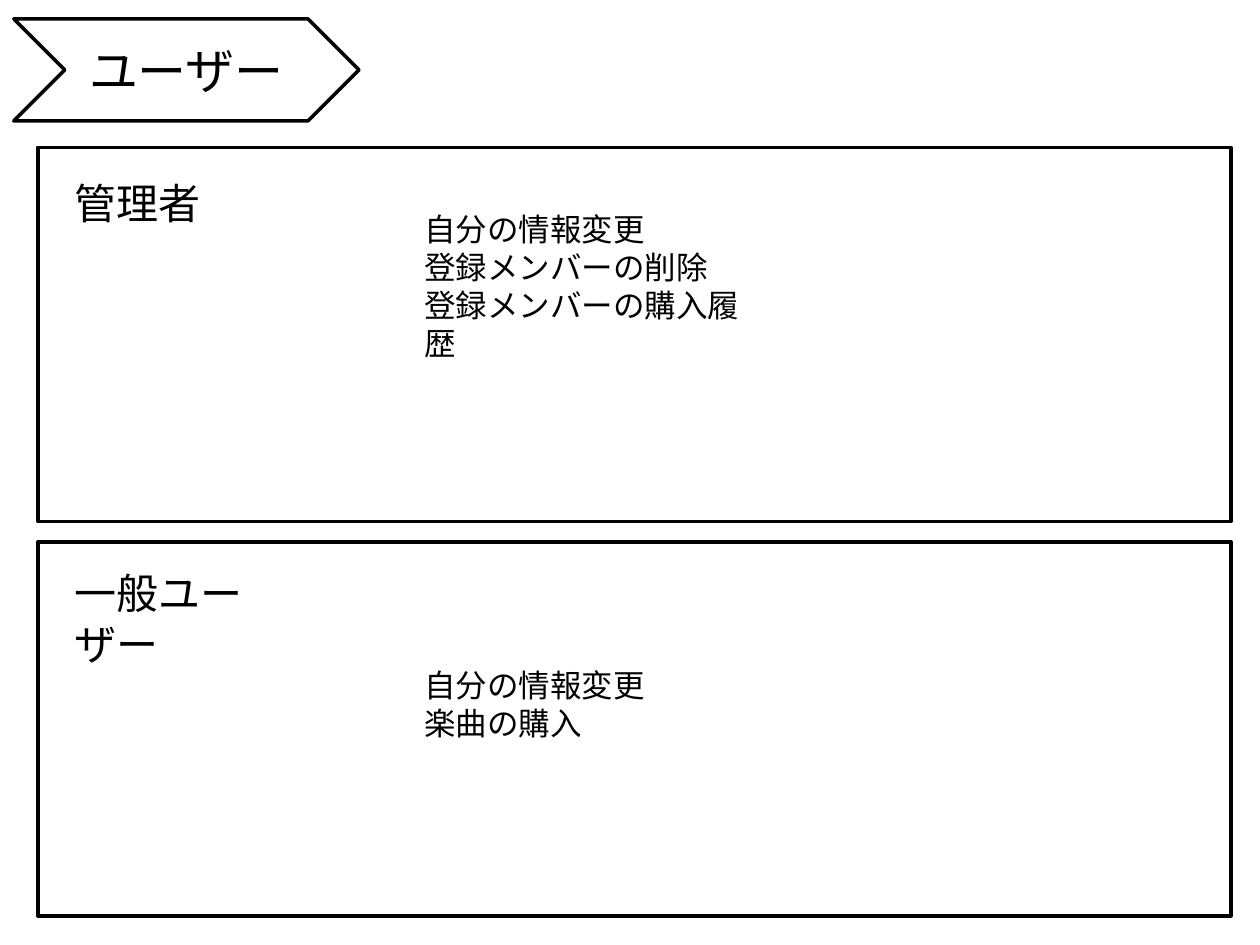
"""Build a slide listing what each kind of user can do."""
from pptx import Presentation
from pptx.dml.color import RGBColor
from pptx.enum.shapes import MSO_SHAPE
from pptx.enum.text import MSO_ANCHOR, MSO_AUTO_SIZE, PP_ALIGN
from pptx.util import Pt

RECT, CHEVRON = MSO_SHAPE.RECTANGLE, MSO_SHAPE.CHEVRON
MIDDLE, CENTER = MSO_ANCHOR.MIDDLE, PP_ALIGN.CENTER
GROW = MSO_AUTO_SIZE.SHAPE_TO_FIT_TEXT

COLORS = {"ink": "000000", "paper": "FFFFFF"}
FONT = "Calibri"
TITLE = "ユーザー"
ROLES = [
    {"name": "管理者", "name_box": (98, 87), "tasks_box": (116.6, 206),
     "tasks": ["自分の情報変更", "登録メンバーの削除", "登録メンバーの購入履歴"]},
    {"name": "一般ユーザー", "name_box": (321, 157), "tasks_box": (377.3, 142),
     "tasks": ["自分の情報変更", "楽曲の購入"]},
]
PANEL_TOP, PANEL_STEP = 84.2, 225.4
NAME_X, TASK_X = 35.3, 235.4


def color(key):
    return RGBColor.from_string(COLORS[key])


def write(frame, lines, size, align=None):
    frame.word_wrap = True
    frame.text = "\n".join(lines)
    style = {"name": FONT, "size": Pt(size)}
    for para in frame.paragraphs:
        para.alignment = align
        for key, value in style.items():
            setattr(para.font, key, value)
        para.font.color.rgb = color("ink")


def add_box(kind, *box):
    shape = slide.shapes.add_shape(kind, *map(Pt, box))
    shape.shadow.inherit = False
    shape.fill.solid()
    shape.fill.fore_color.rgb = color("paper")
    shape.line.color.rgb = color("ink")
    shape.line.width = Pt(2)
    return shape


def add_text(x, y, width, lines, size):
    height = len(lines) * size * 1.2 + 7.2
    frame = slide.shapes.add_textbox(*map(Pt, (x, y, width, height))).text_frame
    write(frame, lines, size)
    frame.auto_size = GROW


deck = Presentation()
deck.slide_width, deck.slide_height = Pt(720), Pt(540)
slide = deck.slides.add_slide(deck.slide_layouts[6])

for row, role in enumerate(ROLES):
    add_box(RECT, 21.6, PANEL_TOP + row * PANEL_STEP, 681.8, 213.8)
    for x, part, lines, size in (
        (NAME_X, "name_box", [role["name"]], 24),
        (TASK_X, "tasks_box", role["tasks"], 18),
    ):
        top, width = role[part]
        add_text(x, top, width, lines, size)

banner = add_box(CHEVRON, 7.9, 10.8, 197.3, 58.3)
write(banner.text_frame, [TITLE], 28, CENTER)
banner.text_frame.vertical_anchor = MIDDLE

deck.save("out.pptx")
